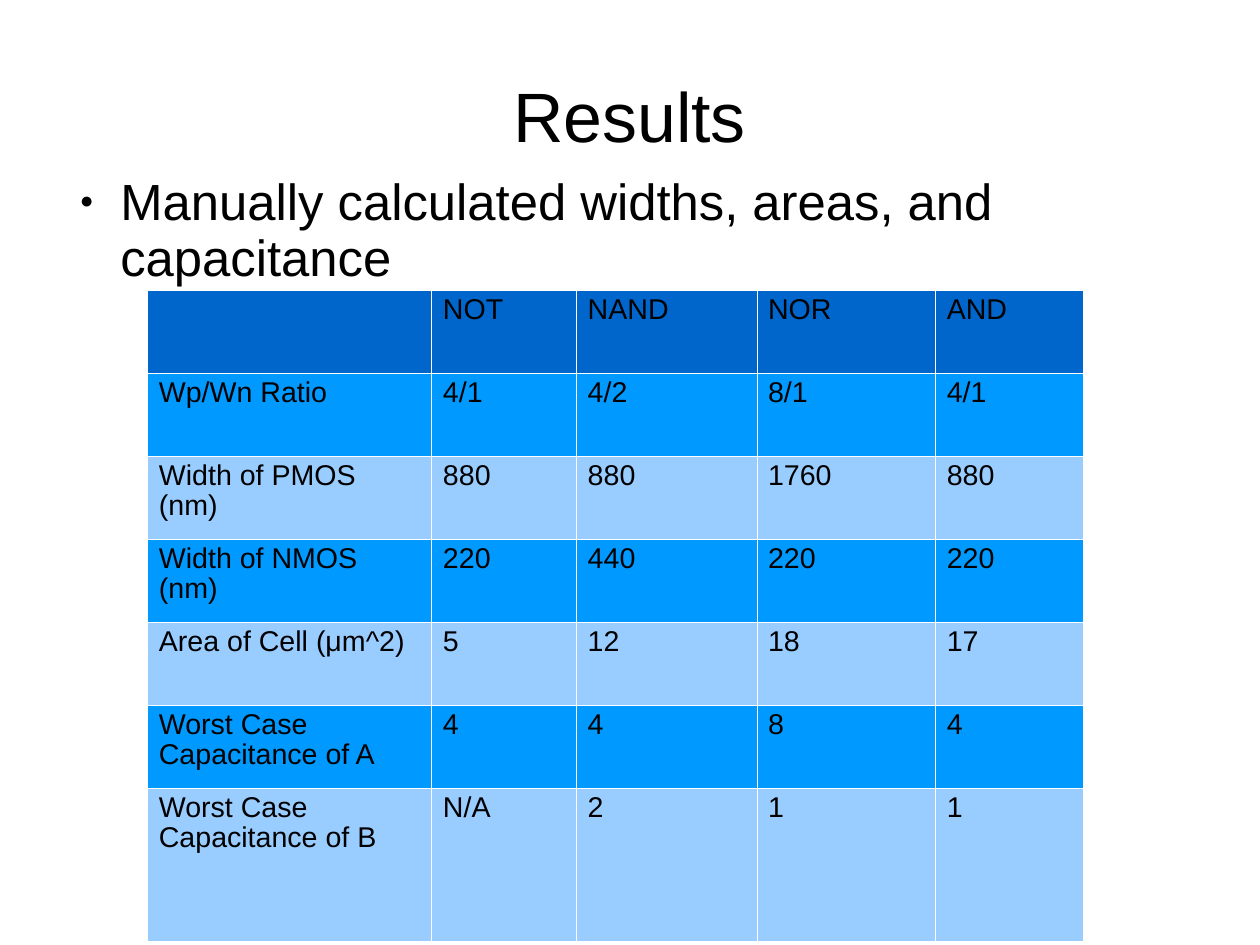
from dataclasses import dataclass

from lxml.etree import SubElement
from pptx import Presentation
from pptx.dml.color import RGBColor as RGB
from pptx.enum.text import MSO_ANCHOR as ANCHOR, PP_ALIGN as ALIGN
from pptx.oxml.ns import qn
from pptx.util import Pt


@dataclass(frozen=True)
class Theme:
    font: str = "Arial"
    text: str = "000000"
    border: str = "FFFFFF"
    header: str = "0066CC"
    bands: tuple = ("0099FF", "99CCFF")
    title_size: int = 44
    body_size: int = 32
    table_size: int = 18


theme = Theme()


def write(tf, text, size, align=ALIGN.LEFT):
    p = tf.paragraphs[0]
    p.alignment = align
    p.line_spacing = 0.93
    r = p.add_run()
    r.text = text
    r.font.name = theme.font
    r.font.size = Pt(size)
    r.font.bold = False
    r.font.color.rgb = RGB.from_string(theme.text)
    return p


def add_text(s, box, text, size, anchor, inset_top, align=ALIGN.LEFT):
    tf = s.shapes.add_textbox(*map(Pt, box)).text_frame
    tf.word_wrap = True
    tf.vertical_anchor = anchor
    tf.margin_left = tf.margin_right = tf.margin_bottom = 0
    tf.margin_top = Pt(inset_top)
    return write(tf, text, size, align)


prs = Presentation()
prs.slide_width, prs.slide_height = Pt(793.75), Pt(595.25)
s = prs.slides.add_slide(prs.slide_layouts[6])

add_text(s, (39.6, 27.4, 714.2, 92.2), "Results", theme.title_size,
         ANCHOR.MIDDLE, 2.9, ALIGN.CENTER)

p = add_text(s, (41.8, 108, 714.2, 385.9),
             "Manually calculated widths, areas, and capacitance",
             theme.body_size, ANCHOR.TOP, 2.2)
p.space_after = Pt(14.3)
pPr = p._p.get_or_add_pPr()
pPr.set("marL", str(Pt(34)))
pPr.set("indent", str(Pt(-25.5)))
color = SubElement(pPr, qn("a:buClr"))
SubElement(color, qn("a:srgbClr"), val=theme.text)
SubElement(pPr, qn("a:buSzPct"), val="45000")
SubElement(pPr, qn("a:buFont"), typeface=theme.font)
SubElement(pPr, qn("a:buChar"), char="●")

results = [
    ("", "NOT", "NAND", "NOR", "AND"),
    ("Wp/Wn Ratio", "4/1", "4/2", "8/1", "4/1"),
    ("Width of PMOS (nm)", "880", "880", "1760", "880"),
    ("Width of NMOS (nm)", "220", "440", "220", "220"),
    ("Area of Cell (μm^2)", "5", "12", "18", "17"),
    ("Worst Case Capacitance of A", "4", "4", "8", "4"),
    ("Worst Case Capacitance of B", "N/A", "2", "1", "1"),
]
widths = [179, 91.2, 113.6, 112.6, 93.3]
heights = [52.3] * 6 + [96.4]

table = s.shapes.add_table(len(results), len(widths), Pt(92.9), Pt(182.6),
                           Pt(sum(widths)), Pt(sum(heights))).table
table.first_row = table.horz_banding = False
for column, width in zip(table.columns, widths):
    column.width = Pt(width)

for i, (row, height, values) in enumerate(zip(table.rows, heights, results)):
    row.height = Pt(height)
    fill = theme.bands[(i - 1) % 2] if i else theme.header
    for cell, value in zip(row.cells, values):
        cell.margin_left = cell.margin_right = Pt(7.2)
        cell.margin_top = cell.margin_bottom = Pt(3.6)
        if value:
            write(cell.text_frame, value, theme.table_size)
        tcPr = cell._tc.get_or_add_tcPr()
        for side in ("a:lnL", "a:lnR", "a:lnT", "a:lnB"):
            ln = SubElement(tcPr, qn(side), w=str(Pt(0.06)))
            solid = SubElement(ln, qn("a:solidFill"))
            SubElement(solid, qn("a:srgbClr"), val=theme.border)
        cell.fill.solid()
        cell.fill.fore_color.rgb = RGB.from_string(fill)

prs.save("out.pptx")
